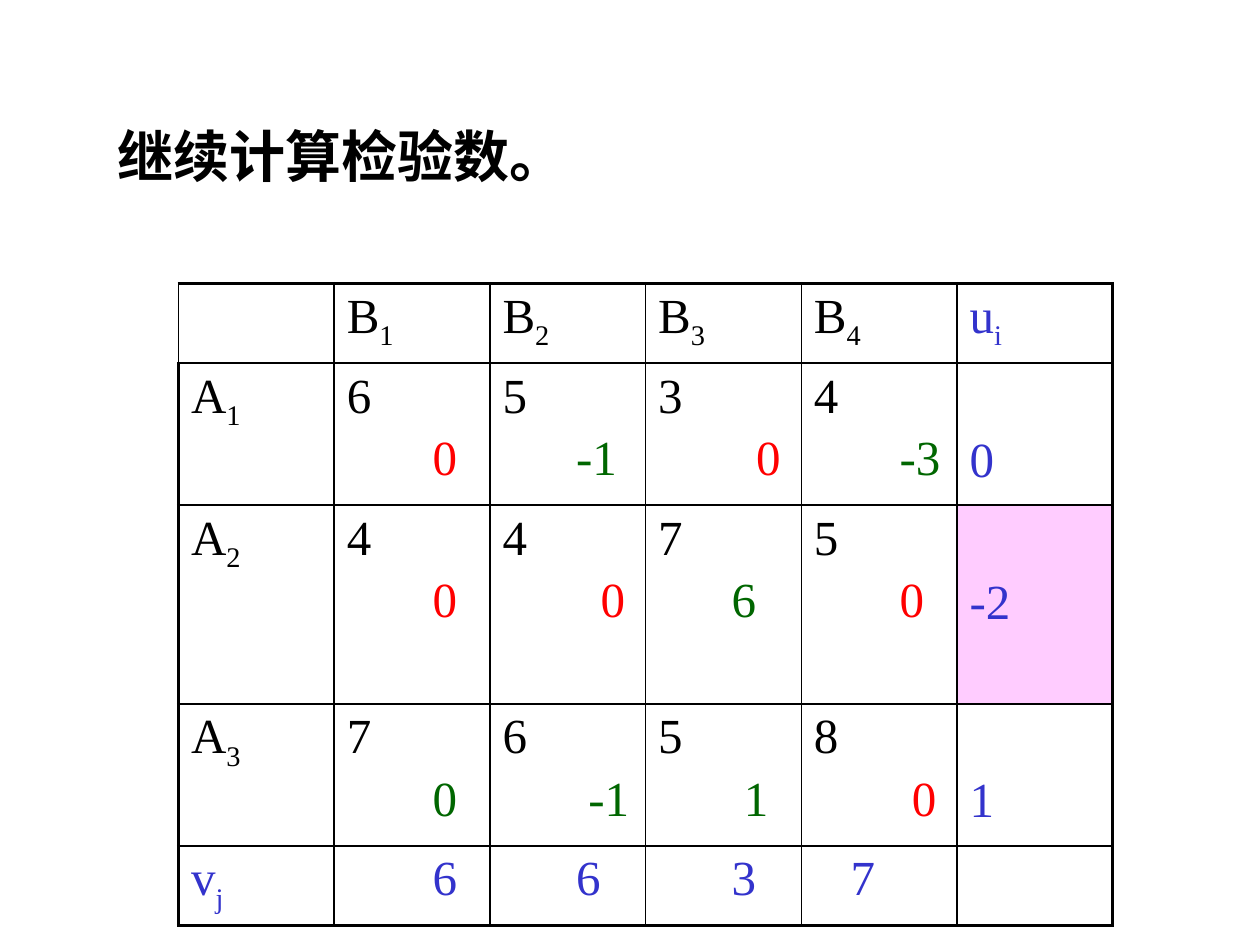
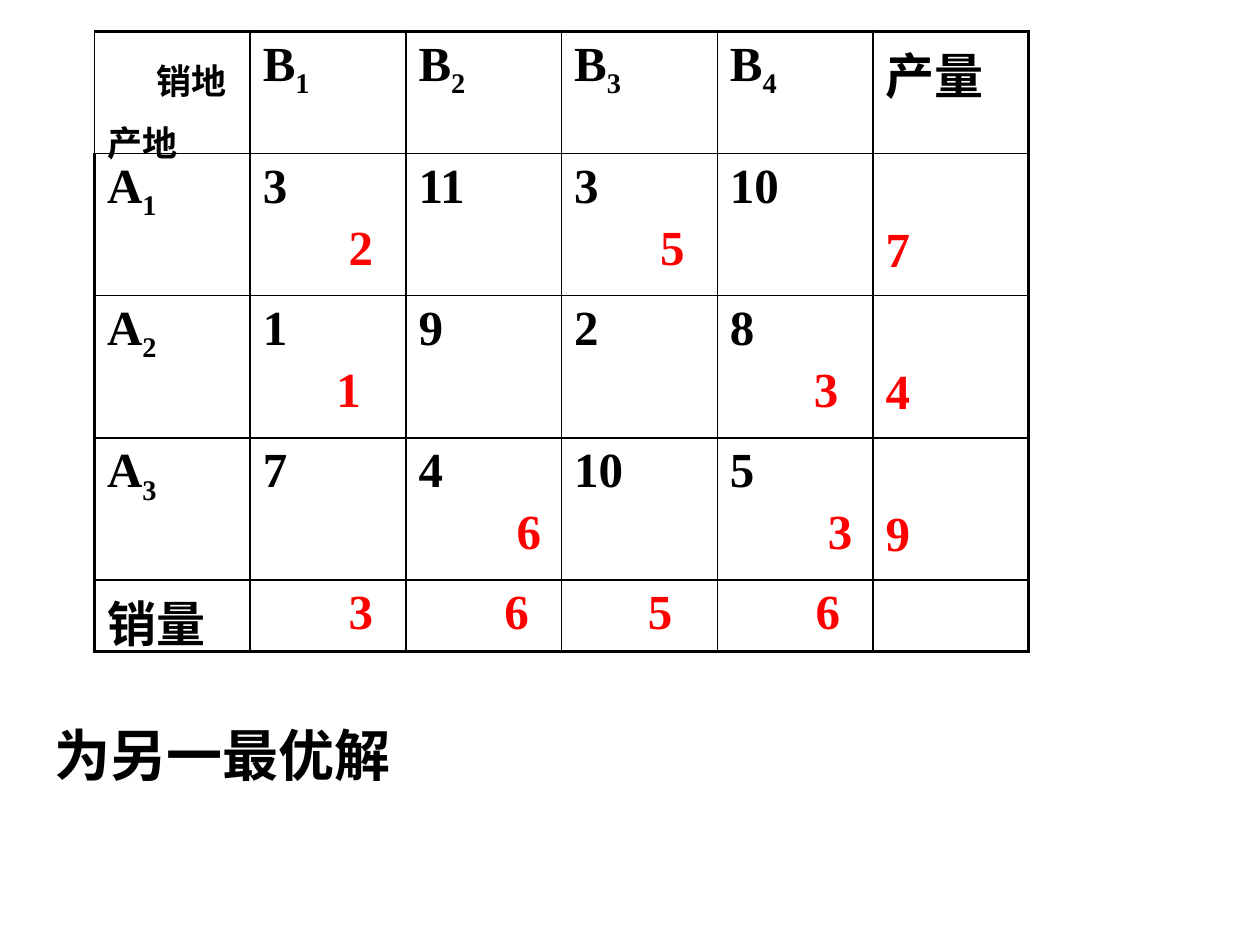
from dataclasses import dataclass
from lxml.etree import SubElement
from pptx import Presentation
from pptx.dml.color import RGBColor
from pptx.enum.text import MSO_AUTO_SIZE
from pptx.oxml.ns import qn
from pptx.util import Pt


@dataclass(frozen=True)
class Theme:
    font: str = "Times New Roman"
    black: str = "000000"
    red: str = "FF0000"
    green: str = "006600"
    blue: str = "3333CC"
    pink: str = "FFCCFF"
    statement: int = 32
    cell: int = 28
    corner: int = 20
    thin: float = 1
    thick: float = 2.25


T = Theme()
COL_W = 89
INSET = 3.6
PARA_GAP = 4.5
SECOND_LINE = 40.2
HEADS = ["B_1", "B_2", "B_3", "B_4"]


def add_runs(p, text, color=T.black, size=T.cell, bold=False):
    for i, part in enumerate(text.split("_")):
        r = p.add_run()
        r.text = part
        r.font.name = T.font
        r.font.size = Pt(size)
        r.font.bold = bold
        r.font.color.rgb = RGBColor.from_string(color)
        if i:
            r._r.get_or_add_rPr().set("baseline", "-25000")


def border(cell, edge, width):
    ln = SubElement(cell._tc.get_or_add_tcPr(), qn(f"a:ln{edge}"), w=str(Pt(width)))
    fill = SubElement(ln, qn("a:solidFill"))
    SubElement(fill, qn("a:srgbClr"), val=T.black)


def_line = [("", T.black, 0)]
slides = [
    dict(
        statement="继续计算检验数。", box=(59.8, 66.2, 558, 45.4),
        at=(102, 162), heights=[45.4, 81.2, 113.6, 81.2, 45.4], bold=False,
        accent=T.blue, corner=[], last_head="u_i", last_label="v_j", highlight=(2, 5),
        rows=[
            ("A_1", [("6", "0", T.red, 49), ("5", "-1", T.green, 42),
                     ("3", "0", T.red, 56), ("4", "-3", T.green, 49)], "0"),
            ("A_2", [("4", "0", T.red, 49), ("4", "0", T.red, 56),
                     ("7", "6", T.green, 42), ("5", "0", T.red, 49)], "-2"),
            ("A_3", [("7", "0", T.green, 49), ("6", "-1", T.green, 49),
                     ("5", "1", T.green, 49), ("8", "0", T.red, 56)], "1"),
        ],
        foot=[("6", 49), ("6", 42), ("3", 42), ("7", 21)], label_color=T.blue,
    ),
    dict(
        statement="为另一最优解", box=(23.8, 408.2, 654, 45.4),
        at=(54, 18), heights=[69.8, 81.2, 81.2, 81.2, 41], bold=True,
        accent=T.red, corner=[("销地", T.black, 28), ("产地", T.black, 0)],
        last_head="产量", last_label="销量", highlight=None,
        rows=[
            ("A_1", [("3", "2", T.red, 49), ("11",), ("3", "5", T.red, 49), ("10",)], "7"),
            ("A_2", [("1", "1", T.red, 42), ("9",), ("2",), ("8", "3", T.red, 48)], "4"),
            ("A_3", [("7",), ("4", "6", T.red, 56), ("10",), ("5", "3", T.red, 56)], "9"),
        ],
        foot=[("3", 49), ("6", 49), ("5", 42), ("6", 49)], label_color=T.black,
    ),
]

prs = Presentation()
prs.slide_width, prs.slide_height = Pt(720), Pt(540)

for d in slides:
    s = prs.slides.add_slide(prs.slide_layouts[6])

    tf = s.shapes.add_textbox(*map(Pt, d["box"])).text_frame
    tf.word_wrap = True
    tf.auto_size = MSO_AUTO_SIZE.SHAPE_TO_FIT_TEXT
    add_runs(tf.paragraphs[0], d["statement"], size=T.statement, bold=True)

    head_color = T.blue if d["label_color"] == T.blue else T.black
    grid = [[d["corner"], *[[(h, T.black, 0)] for h in HEADS], [(d["last_head"], head_color, 0)]]]
    for label, entries, total in d["rows"]:
        cells = [[(e[0], T.black, 0), *([e[1:]] if e[1:] else [])] for e in entries]
        grid.append([[(label, T.black, 0)], *cells, [(total, d["accent"], 0)]])
    foot = [[(v, d["accent"], indent)] for v, indent in d["foot"]]
    grid.append([[(d["last_label"], d["label_color"], 0)], *foot, []])

    n_rows, n_cols = len(grid), len(grid[0])
    frame = s.shapes.add_table(n_rows, n_cols, *map(Pt, d["at"]),
                               Pt(COL_W * n_cols), Pt(sum(d["heights"])))
    tbl = frame.table
    tbl.first_row = tbl.horz_banding = False
    for col in tbl.columns:
        col.width = Pt(COL_W)
    for row, height in zip(tbl.rows, d["heights"]):
        row.height = Pt(height)

    for i, line in enumerate(grid):
        for j, paras in enumerate(line):
            cell = tbl.cell(i, j)
            is_corner = i == j == 0
            is_total = 0 < i < n_rows - 1 and j == n_cols - 1
            cell.margin_top = Pt(SECOND_LINE if is_total else 12.8 if is_corner else INSET)
            cell.margin_bottom = Pt(0 if is_corner else INSET)
            outer = dict(L=j == 0 and i > 0, R=j == n_cols - 1, T=i == 0, B=i == n_rows - 1)
            for edge, heavy in outer.items():
                border(cell, edge, T.thick if heavy else T.thin)
            if (i, j) == d["highlight"]:
                cell.fill.solid()
                cell.fill.fore_color.rgb = RGBColor.from_string(T.pink)
            else:
                cell.fill.background()
            size = T.corner if is_corner else T.cell
            for k, (text, color, indent) in enumerate(paras):
                p = cell.text_frame.paragraphs[0] if k == 0 else cell.text_frame.add_paragraph()
                if k:
                    p.space_before = Pt(6.4 if is_corner else PARA_GAP)
                if indent:
                    p._p.get_or_add_pPr().set("marL", str(Pt(indent)))
                add_runs(p, text, color, size, d["bold"])

prs.save("out.pptx")
